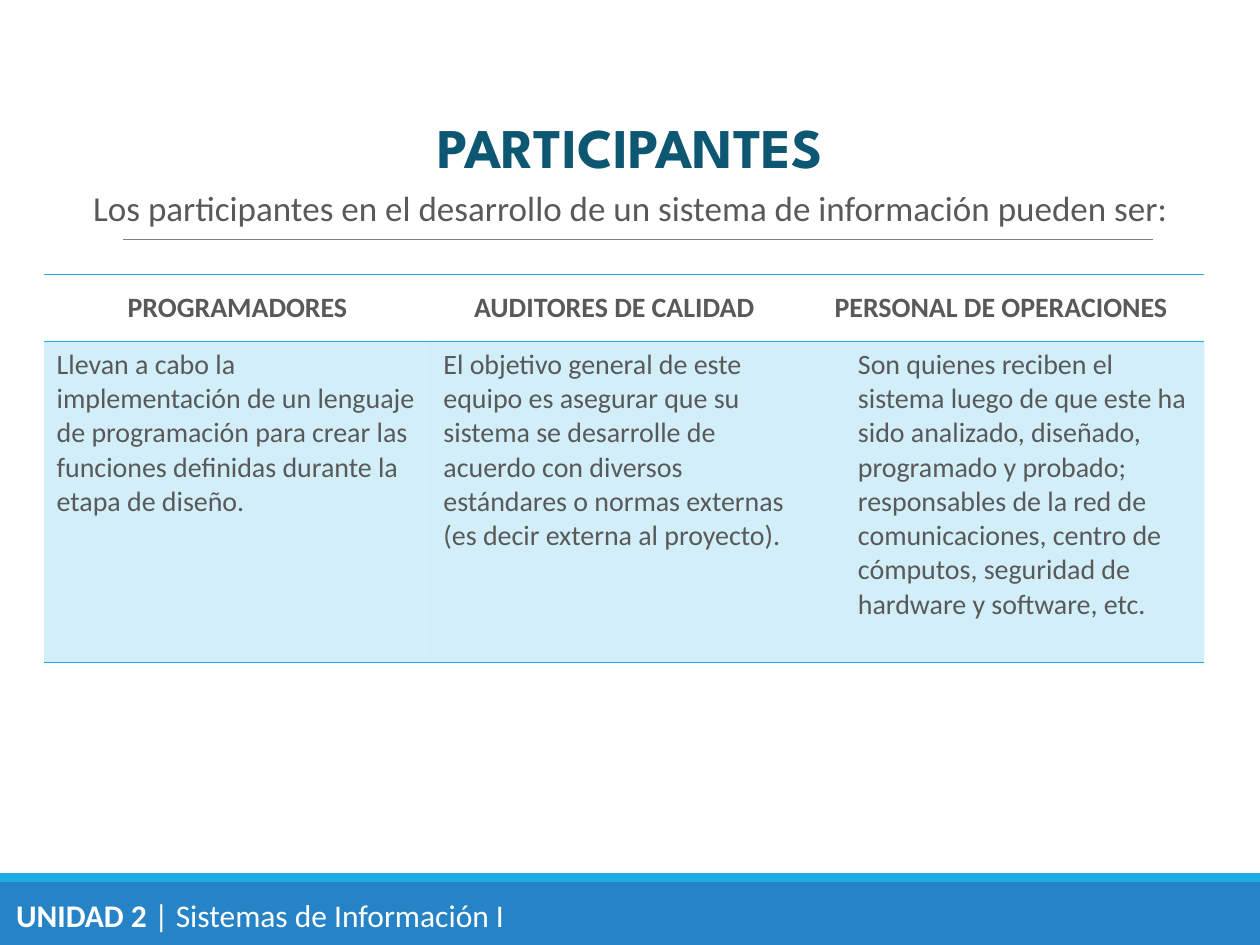
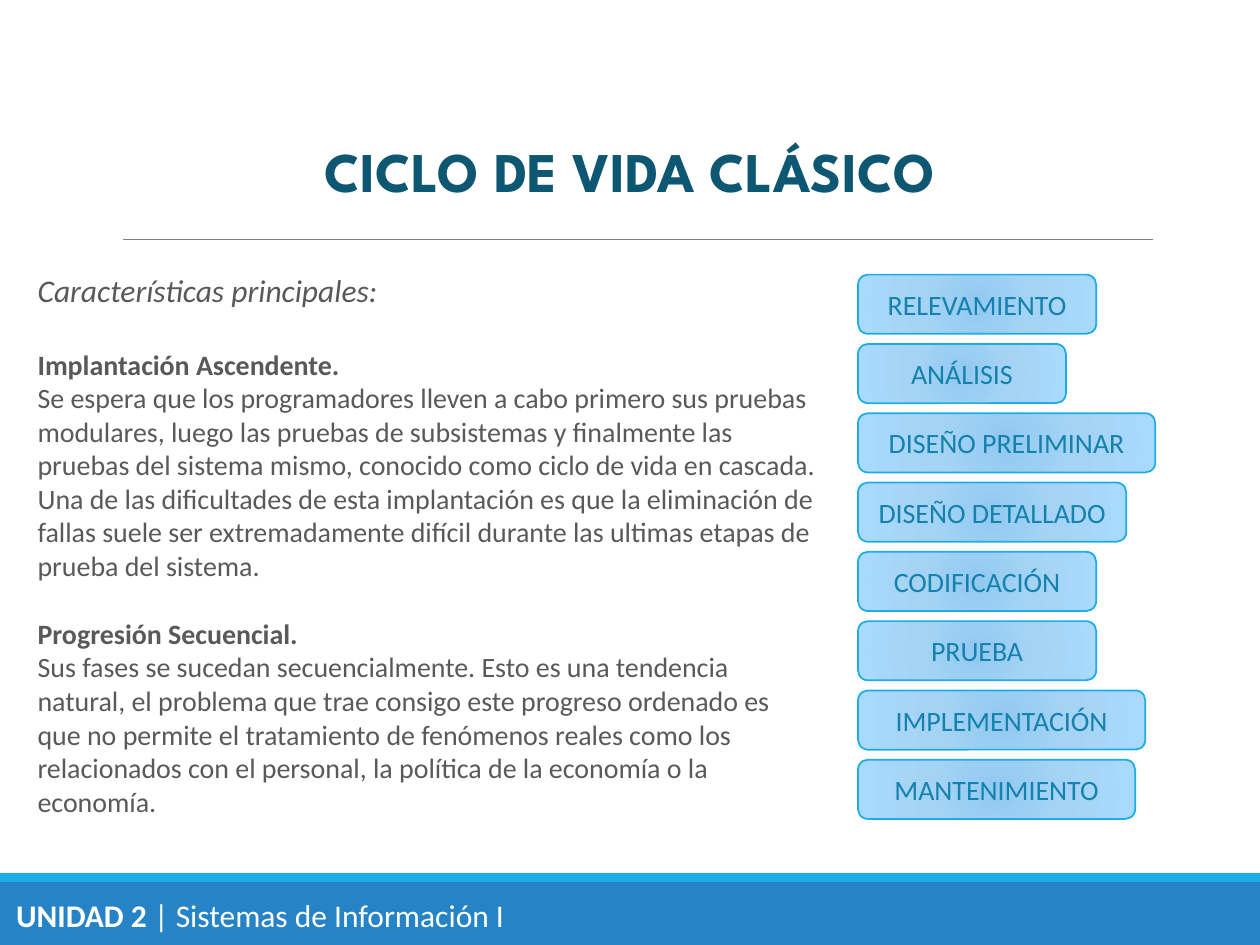
from dataclasses import dataclass

from lxml.etree import SubElement
from pptx import Presentation
from pptx.dml.color import RGBColor
from pptx.enum.shapes import MSO_CONNECTOR, MSO_SHAPE
from pptx.enum.text import MSO_ANCHOR, MSO_AUTO_SIZE, PP_ALIGN
from pptx.oxml import parse_xml
from pptx.oxml.ns import nsdecls, qn
from pptx.util import Inches, Pt


@dataclass(frozen=True)
class Theme:
    footer: str = "2683C6"
    accent: str = "1CADE4"
    rule: str = "808080"
    title: str = "0E5772"
    text: str = "595959"
    phase_text: str = "1482AC"
    white: str = "FFFFFF"
    phase_gradient: tuple = ((0, "92C9F0"), (45, "A4D3F5"), (100, "A9D9FD"))
    title_font: str = "League Spartan"
    body_font: str = "Calibri"
    title_size: int = 32
    subtitle_size: int = 20
    lead_size: int = 18
    body_size: int = 16


THEME = Theme()


def style(paragraph, size, color, font=THEME.body_font, bold=False, italic=False,
          align=PP_ALIGN.LEFT, before=0):
    paragraph.alignment = align
    paragraph.space_before = Pt(before)
    paragraph.font.name = font
    paragraph.font.size = Pt(size)
    paragraph.font.bold = bold
    paragraph.font.italic = italic
    paragraph.font.color.rgb = RGBColor.from_string(color)


def add_text_box(slide, box):
    shape = slide.shapes.add_textbox(*map(Inches, box))
    shape.text_frame.word_wrap = True
    return shape.text_frame


def add_band(slide, box, color):
    band = slide.shapes.add_shape(MSO_SHAPE.RECTANGLE, *map(Inches, box))
    band.shadow.inherit = False
    band.fill.solid()
    band.fill.fore_color.rgb = RGBColor.from_string(color)
    band.line.fill.background()


def add_frame(slide):
    """Footer bands and the rule under the title."""
    add_band(slide, (0, 7, 10, 0.5), THEME.footer)
    add_band(slide, (0, 6.93, 10, 0.07), THEME.accent)
    rule = slide.shapes.add_connector(
        MSO_CONNECTOR.STRAIGHT, Inches(0.98), Inches(1.9), Inches(9.15), Inches(1.9))
    rule.line.color.rgb = RGBColor.from_string(THEME.rule)
    rule.line.width = Pt(0.5)
    SubElement(rule._element.spPr, qn("a:effectLst"))


def add_footer_text(slide, box):
    text_frame = add_text_box(slide, box)
    text_frame.word_wrap = False
    text_frame.auto_size = MSO_AUTO_SIZE.SHAPE_TO_FIT_TEXT
    paragraph = text_frame.paragraphs[0]
    style(paragraph, THEME.lead_size, THEME.white)
    unit = paragraph.add_run()
    unit.text = "UNIDAD 2 "
    unit.font.bold = True
    paragraph.add_run().text = "| Sistemas de Información I"


def add_title(slide, box, title, subtitle=None, top_margin=0.05):
    text_frame = add_text_box(slide, box)
    text_frame.margin_top = Inches(top_margin)
    paragraph = text_frame.paragraphs[0]
    paragraph.text = title
    style(paragraph, THEME.title_size, THEME.title, THEME.title_font, bold=True,
          align=PP_ALIGN.CENTER, before=0.2 * THEME.title_size)
    if subtitle:
        paragraph = text_frame.add_paragraph()
        paragraph.text = subtitle
        style(paragraph, THEME.subtitle_size, THEME.text,
              align=PP_ALIGN.CENTER, before=0.2 * THEME.subtitle_size)


def add_cell_borders(cell, sides):
    properties = cell._tc.get_or_add_tcPr()
    for index, side in enumerate(sides):
        properties.insert(index, parse_xml(
            f'<a:{side} {nsdecls("a")} w="12700"><a:solidFill>'
            f'<a:srgbClr val="{THEME.accent}"/></a:solidFill></a:{side}>'))


def add_participants_table(slide, box, participants):
    table = slide.shapes.add_table(2, len(participants), *map(Inches, box)).table
    table.first_row = table.horz_banding = False
    # Plain table style without grid lines
    style_id = table._tbl.tblPr.find(qn("a:tableStyleId"))
    style_id.text = "{2D5ABB26-0587-4C30-8999-92F81FD0307C}"
    header_height = 0.53
    table.rows[0].height = Inches(header_height)
    table.rows[1].height = Inches(box[3] - header_height)

    for column, (name, description, width, indent) in enumerate(participants):
        table.columns[column].width = Inches(width)
        header, body = table.cell(0, column), table.cell(1, column)

        header.text = name
        header.vertical_anchor = MSO_ANCHOR.MIDDLE
        header.fill.background()
        style(header.text_frame.paragraphs[0], THEME.body_size, THEME.text,
              bold=True, align=PP_ALIGN.CENTER)
        add_cell_borders(header, ("a:lnT"[2:], "lnB"))

        body.text = description
        body.margin_left = Inches(0.1 + indent)
        style(body.text_frame.paragraphs[0], THEME.body_size, THEME.text)
        body.fill.solid()
        body.fill.fore_color.rgb = RGBColor.from_string(THEME.accent)
        tint = body._tc.tcPr.find(".//" + qn("a:srgbClr"))
        SubElement(tint, qn("a:alpha"), val="20000")
        add_cell_borders(body, ("lnT", "lnB"))


def add_characteristics(slide, box, lead, sections):
    text_frame = add_text_box(slide, box)
    text_frame.auto_size = MSO_AUTO_SIZE.SHAPE_TO_FIT_TEXT
    paragraph = text_frame.paragraphs[0]
    paragraph.text = lead
    style(paragraph, THEME.lead_size, THEME.text, italic=True)
    # Each heading stands one line below the text before it
    previous_size = THEME.lead_size
    for heading, body in sections:
        for text, bold, gap in ((heading, True, 1.22 * previous_size), (body, False, 0)):
            paragraph = text_frame.add_paragraph()
            paragraph.text = text
            style(paragraph, THEME.body_size, THEME.text, bold=bold, before=gap)
        previous_size = THEME.body_size


def fill_with_glow(shape):
    stops = "".join(
        f'<a:gs pos="{position * 1000}"><a:srgbClr val="{color}"/></a:gs>'
        for position, color in THEME.phase_gradient)
    gradient = parse_xml(
        f'<a:gradFill {nsdecls("a")} rotWithShape="1"><a:gsLst>{stops}</a:gsLst>'
        '<a:path path="circle"><a:fillToRect l="100000" t="100000" r="100000" b="100000"/>'
        '</a:path></a:gradFill>')
    shape.fill.background()
    properties = shape._element.spPr
    properties.replace(properties.find(qn("a:noFill")), gradient)


def add_phases(slide, left, top, phases, height=0.47, pitch=0.55):
    for index, (name, width) in enumerate(phases):
        box = (left, top + index * pitch, width, height)
        phase = slide.shapes.add_shape(MSO_SHAPE.ROUNDED_RECTANGLE, *map(Inches, box))
        phase.shadow.inherit = False
        fill_with_glow(phase)
        phase.line.color.rgb = RGBColor.from_string(THEME.accent)
        phase.line.width = Pt(1)
        phase.text_frame.text = name
        phase.text_frame.vertical_anchor = MSO_ANCHOR.MIDDLE
        style(phase.text_frame.paragraphs[0], THEME.body_size, THEME.phase_text,
              align=PP_ALIGN.CENTER)


# Name, description, column width, text indent
PARTICIPANTS = (
    ("PROGRAMADORES",
     "Llevan a cabo la implementación de un lenguaje de programación para crear las "
     "funciones definidas durante la etapa de diseño.", 3.07, 0),
    ("AUDITORES DE CALIDAD",
     "El objetivo general de este equipo es asegurar que su sistema se desarrolle de "
     "acuerdo con diversos estándares o normas externas (es decir externa al proyecto).",
     2.91, 0),
    ("PERSONAL DE OPERACIONES",
     "Son quienes reciben el sistema luego de que este ha sido analizado, diseñado, "
     "programado y probado; responsables de la red de comunicaciones, centro de cómputos, "
     "seguridad de hardware y software, etc.", 3.23, 0.38),
)

CHARACTERISTICS = (
    ("Implantación Ascendente.",
     "Se espera que los programadores lleven a cabo primero sus pruebas modulares, luego "
     "las pruebas de subsistemas y finalmente las pruebas del sistema mismo, conocido como "
     "ciclo de vida en cascada. Una de las dificultades de esta implantación es que la "
     "eliminación de fallas suele ser extremadamente difícil durante las ultimas etapas de "
     "prueba del sistema."),
    ("Progresión Secuencial.",
     "Sus fases se sucedan secuencialmente. Esto es una tendencia natural, el problema que "
     "trae consigo este progreso ordenado es que no permite el tratamiento de fenómenos "
     "reales como los relacionados con el personal, la política de la economía o la economía."),
)

# Name, box width
PHASES = (
    ("RELEVAMIENTO", 1.89), ("ANÁLISIS", 1.65), ("DISEÑO PRELIMINAR", 2.36),
    ("DISEÑO DETALLADO", 2.13), ("CODIFICACIÓN", 1.89), ("PRUEBA", 1.89),
    ("IMPLEMENTACIÓN", 2.28), ("MANTENIMIENTO", 2.2),
)


def build_participants(slide):
    add_title(slide, (0.2, 0.84, 9.61, 6.46), "PARTICIPANTES",
              "Los participantes en el desarrollo de un sistema de información pueden ser:")
    add_participants_table(slide, (0.35, 2.18, 9.21, 3.08), PARTICIPANTS)


def build_life_cycle(slide):
    add_title(slide, (0, 0.68, 10, 6.82), "CICLO DE VIDA CLÁSICO", top_margin=0.4)
    add_phases(slide, 6.81, 2.18, PHASES)
    add_characteristics(slide, (0.2, 2.1, 6.38, 4.48),
                        "Características principales:", CHARACTERISTICS)


presentation = Presentation()
presentation.slide_width, presentation.slide_height = Inches(10), Inches(7.5)
for build in (build_participants, build_life_cycle):
    slide = presentation.slides.add_slide(presentation.slide_layouts[6])
    add_frame(slide)
    build(slide)
    add_footer_text(slide, (0.03, 7.06, 4.12, 0.4))
presentation.save("out.pptx")
